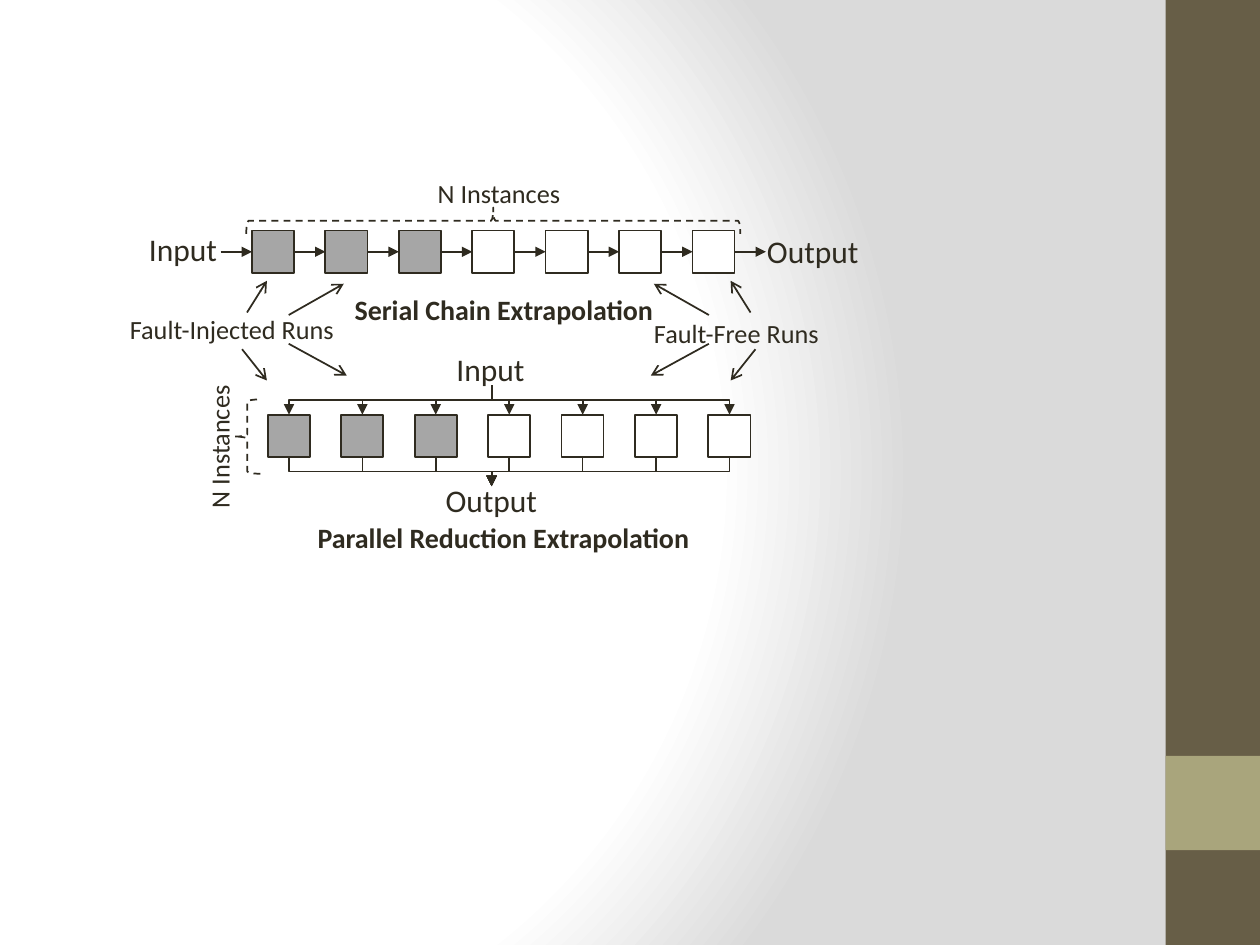
from pptx import Presentation
from pptx.dml.color import RGBColor
from pptx.enum.dml import MSO_LINE
from pptx.enum.shapes import MSO_CONNECTOR, MSO_SHAPE
from pptx.enum.text import MSO_ANCHOR, MSO_AUTO_SIZE, PP_ALIGN
from pptx.oxml import parse_xml
from pptx.oxml.ns import nsdecls
from pptx.util import Cm, Pt
from lxml import etree

RECT, BRACE = MSO_SHAPE.RECTANGLE, MSO_SHAPE.RIGHT_BRACE
STRAIGHT, ELBOW = MSO_CONNECTOR.STRAIGHT, MSO_CONNECTOR.ELBOW
DASH, CENTER, TOP = MSO_LINE.DASH, PP_ALIGN.CENTER, MSO_ANCHOR.TOP
FIT, NO_FIT = MSO_AUTO_SIZE.SHAPE_TO_FIT_TEXT, MSO_AUTO_SIZE.NONE

INK = RGBColor(0x2F, 0x2B, 0x20)
ARROW_INK = RGBColor(0x2E, 0x2A, 0x1F)
FAULTY = RGBColor(0xA6, 0xA6, 0xA6)
WHITE = RGBColor(0xFF, 0xFF, 0xFF)
BAND = RGBColor(0x67, 0x5E, 0x47)
ACCENT = RGBColor(0xA9, 0xA5, 0x7C)

ENDPOINT = {"size": Pt(18), "bold": False}
NOTE = {"size": Pt(15), "bold": False}
CAPTION = {"size": Pt(16), "bold": True}

INSTANCES, INJECTED = 7, 3
BLOCK, PITCH = 0.85, 1.48
GAP = PITCH - BLOCK

# Arrows from a run label to both rows, as (x1, y1, x2, y2)
RUN_ARROWS = [(0.1, 0.64, 0.5, 0), (0.94, 0.69, 2.05, 0.06),
              (0.94, 1.27, 2.11, 1.91), (0, 1.38, 0.5, 2.01)]
RUN_WIDTH = 2.11


def add_label(slide, text, left, top, width, height, style, rotation=0):
    label = slide.shapes.add_textbox(Cm(left), Cm(top), Cm(width), Cm(height))
    label.rotation = rotation
    frame = label.text_frame
    frame_format = {"word_wrap": False, "vertical_anchor": TOP,
                    "auto_size": NO_FIT if rotation else FIT}
    for name, value in frame_format.items():
        setattr(frame, name, value)
    paragraph = frame.paragraphs[0]
    paragraph.alignment = CENTER
    run = paragraph.add_run()
    run.text = text
    run.font.color.rgb = INK
    for name, value in {"name": "Calibri", **style}.items():
        setattr(run.font, name, value)


def add_block(slide, left, top, width, height, color, outlined=True):
    block = slide.shapes.add_shape(RECT, Cm(left), Cm(top), Cm(width), Cm(height))
    block.shadow.inherit = False
    block.fill.solid()
    block.fill.fore_color.rgb = color
    if outlined:
        block.line.color.rgb = INK
        block.line.width = Pt(1)
    else:
        block.line.fill.background()


def add_brace(slide, left, top, width, height, rotation):
    brace = slide.shapes.add_shape(BRACE, Cm(left), Cm(top), Cm(width), Cm(height))
    brace.shadow.inherit = False
    brace.rotation = rotation
    brace.fill.background()
    brace.line.color.rgb = INK
    brace.line.width = Pt(1)
    brace.line.dash_style = DASH


def add_arrow(slide, x1, y1, x2, y2, head="triangle", color=INK, kind=STRAIGHT):
    arrow = slide.shapes.add_connector(kind, Cm(x1), Cm(y1), Cm(x2), Cm(y2))
    arrow.line.color.rgb = color
    arrow.line.width = Pt(1)
    line = arrow.line._get_or_add_ln()
    line.append(parse_xml(f'<a:tailEnd {nsdecls("a")} type="{head}"/>'))
    etree.SubElement(line.getparent(), line.tag[:-2] + "effectLst")
    return arrow


def add_drop(slide, x1, y1, x2, y2):
    """Elbow arrow that leaves and arrives going down: a turned sideways elbow."""
    mid_x, mid_y = (x1 + x2) / 2, (y1 + y2) / 2
    half_w, half_h = (y2 - y1) / 2, abs(x2 - x1) / 2
    side = 1 if x2 < x1 else -1
    drop = add_arrow(slide, mid_x - side * half_w, mid_y - half_h,
                     mid_x + side * half_w, mid_y + half_h, kind=ELBOW)
    quarter_turns = 1 if side == 1 else 3
    drop._element.spPr.xfrm.set("rot", str(quarter_turns * 90 * 60000))


def block_row(slide, left, top):
    for i in range(INSTANCES):
        add_block(slide, left + i * PITCH, top, BLOCK, BLOCK,
                  FAULTY if i < INJECTED else WHITE)


def backdrop(slide):
    stops = "".join(
        f'<a:gs pos="{pos}000"><a:srgbClr val="{color}"/></a:gs>'
        for pos, color in [(0, "FFFFFF"), (75, "FFFFFF"), (100, "DADADA")])
    slide.element.cSld.insert(0, parse_xml(
        f'<p:bg {nsdecls("p", "a")}><p:bgPr><a:gradFill rotWithShape="1">'
        f'<a:gsLst>{stops}</a:gsLst><a:path path="circle">'
        '<a:fillToRect l="20000" t="50000" r="100000" b="50000"/></a:path>'
        '</a:gradFill><a:effectLst/></p:bgPr></p:bg>'))


def side_band(slide, left, top, width, height):
    add_block(slide, left, top, width, height, BAND, outlined=False)
    add_block(slide, left, top + 0.8 * height, width, width, ACCENT, outlined=False)


def serial_chain(slide, left, top):
    row_left, row_top = left + 2.34, top + 1.2
    add_label(slide, "N Instances", left + 5.82, top, 3, 0.89, NOTE)
    add_brace(slide, left + 6.94, top - 3.98, 0.53, 9.96, 270)
    add_label(slide, "Input", left, top + 1.07, 1.9, 1.02, ENDPOINT)
    add_label(slide, "Output", left + 12.45, top + 1.1, 2.39, 1.02, ENDPOINT)
    block_row(slide, row_left, row_top)
    middle = row_top + BLOCK / 2
    for i in range(INSTANCES + 1):
        x = row_left + i * PITCH
        add_arrow(slide, x - GAP, middle, x, middle, color=ARROW_INK)
    add_label(slide, "Serial Chain Extrapolation",
              left + 4.12, top + 2.32, 6.6, 0.94, CAPTION)


def parallel_reduction(slide, left, top):
    row_left, row_top = left + 2.48, top + 1.43
    hub, reach = left + 6.99, 0.59
    add_label(slide, "Input", left + 6.02, top, 1.9, 1.02, ENDPOINT)
    add_label(slide, "Output", left + 5.79, top + 2.65, 2.39, 1.02, ENDPOINT)
    add_label(slide, "N Instances", left, top + 1.63, 3, 0.89, NOTE, 270)
    add_brace(slide, left + 1.8, top + 1.12, 0.53, 1.5, 180)
    block_row(slide, row_left, row_top)
    bottom = row_top + BLOCK
    for i in range(INSTANCES):
        x = row_left + i * PITCH + BLOCK / 2
        add_drop(slide, hub, row_top - reach, x, row_top)
        add_drop(slide, x, bottom, hub, bottom + reach)
    add_label(slide, "Parallel Reduction Extrapolation",
              left + 3.18, top + 3.43, 8.1, 0.94, CAPTION)


def fault_runs(slide, left, top, text, label_box, mirrored=False):
    dx, dy, width, height = label_box
    add_label(slide, text, left + dx, top + dy, width, height, NOTE)
    for x1, y1, x2, y2 in RUN_ARROWS:
        if mirrored:
            x1, x2 = RUN_WIDTH - x1, RUN_WIDTH - x2
        add_arrow(slide, left + x1, top + y1, left + x2, top + y2, head="arrow")


prs = Presentation()
prs.slide_width, prs.slide_height = Cm(25.4), Cm(19.05)
slide = prs.slides.add_slide(prs.slide_layouts[6])

backdrop(slide)
side_band(slide, 23.5, 0, 1.9, 19.05)
serial_chain(slide, 2.74, 3.45)
parallel_reduction(slide, 2.92, 6.93)
fault_runs(slide, 4.88, 5.66, "Fault-Injected Runs", (-2.54, 0.54, 4.67, 0.89))
fault_runs(slide, 13.12, 5.66, "Fault-Free Runs", (-0.22, 0.61, 3.89, 0.89), mirrored=True)

prs.save("out.pptx")
